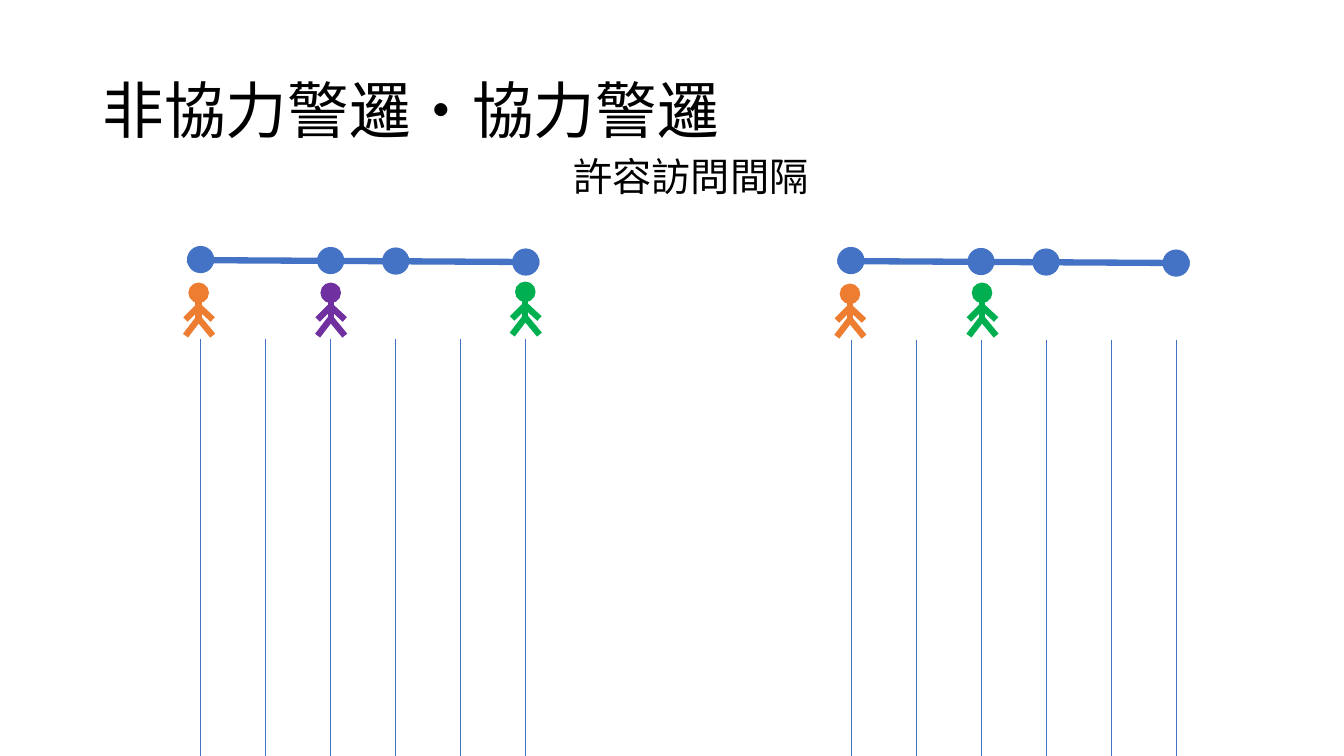
from dataclasses import dataclass

from lxml import etree
from pptx import Presentation
from pptx.dml.color import RGBColor
from pptx.enum.shapes import MSO_CONNECTOR, MSO_SHAPE
from pptx.enum.text import MSO_ANCHOR, MSO_AUTO_SIZE
from pptx.oxml.ns import qn
from pptx.util import Inches, Pt

STRAIGHT = MSO_CONNECTOR.STRAIGHT
ELLIPSE = MSO_SHAPE.OVAL
MIDDLE = MSO_ANCHOR.MIDDLE
FIT_SHAPE = MSO_AUTO_SIZE.SHAPE_TO_FIT_TEXT

SLIDE_WIDTH, SLIDE_HEIGHT = 13.33, 7.5
COLUMN_STEP = 0.645
COLUMN_COUNT = 6
NODE_COLUMNS = (0, 2, 3, 5)
NODE_SIZE = 0.27
HEAD_SIZE = 0.19
LIMBS = (
    (0, 0.19, 0, 0.36),
    (0, 0.35, 0.14, 0.52),
    (0, 0.23, 0.14, 0.36),
    (0, 0.23, -0.13, 0.36),
    (0, 0.35, -0.13, 0.52),
)


@dataclass(frozen=True)
class Theme:
    font: str = "Noto Sans CJK JP"
    text: str = "000000"
    route: str = "4472C4"
    orange: str = "ED7D31"
    green: str = "00B050"
    purple: str = "7030A0"
    title_size: float = 44
    label_size: float = 28
    thick: float = 4.5
    outline: float = 1
    thin: float = 0.5


class PatrolSlide:
    def __init__(self, page, theme):
        self.page = page
        self.theme = theme

    def text(self, content, left, top, width, height, size, wrap=True):
        box = self.page.shapes.add_textbox(
            Inches(left), Inches(top), Inches(width), Inches(height)
        )
        frame = box.text_frame
        frame.text = content
        frame.word_wrap = wrap
        para = frame.paragraphs[0]
        for span in para.runs:
            span.font.name = self.theme.font
            span.font.size = Pt(size)
            span.font.color.rgb = RGBColor.from_string(self.theme.text)
            east_asian = etree.SubElement(span.font._element, qn("a:ea"))
            east_asian.set("typeface", self.theme.font)
        return frame

    def line(self, shapes, start_x, start_y, end_x, end_y, color, weight):
        connector = shapes.add_connector(
            STRAIGHT, Inches(start_x), Inches(start_y), Inches(end_x), Inches(end_y)
        )
        connector.line.color.rgb = RGBColor.from_string(color)
        connector.line.width = Pt(weight)
        etree.SubElement(connector._element.spPr, qn("a:effectLst"))

    def dot(self, shapes, center_x, top, size, color, outlined=False):
        shape = shapes.add_shape(
            ELLIPSE, Inches(center_x - size / 2), Inches(top), Inches(size), Inches(size)
        )
        shape.shadow.inherit = False
        shape.fill.solid()
        shape.fill.fore_color.rgb = RGBColor.from_string(color)
        if outlined:
            shape.line.color.rgb = RGBColor.from_string(color)
            shape.line.width = Pt(self.theme.outline)
        else:
            shape.line.fill.background()

    def route(self, left, top):
        shapes = self.page.shapes.add_group_shape().shapes
        radius = NODE_SIZE / 2
        right = left + (COLUMN_COUNT - 1) * COLUMN_STEP
        self.line(shapes, left - radius, top + 0.14, right + radius, top + 0.16,
                  self.theme.route, self.theme.thick)
        for column in NODE_COLUMNS:
            self.dot(shapes, left + column * COLUMN_STEP, top + column * 0.005,
                     NODE_SIZE, self.theme.route)

    def patroller(self, center_x, top, color):
        shapes = self.page.shapes.add_group_shape().shapes
        self.dot(shapes, center_x, top, HEAD_SIZE, color, outlined=True)
        for start_x, start_y, end_x, end_y in LIMBS:
            self.line(shapes, center_x + start_x, top + start_y,
                      center_x + end_x, top + end_y, color, self.theme.thick)

    def timelines(self, left, top):
        for column in range(COLUMN_COUNT):
            x = left + column * COLUMN_STEP
            self.line(self.page.shapes, x, top, x, SLIDE_HEIGHT,
                      self.theme.route, self.theme.thin)


def main():
    deck = Presentation()
    deck.slide_width = Inches(SLIDE_WIDTH)
    deck.slide_height = Inches(SLIDE_HEIGHT)
    theme = Theme()
    slide = PatrolSlide(deck.slides.add_slide(deck.slide_layouts[6]), theme)

    title = slide.text("非協力警邏・協力警邏", 0.92, 0.4, 11.5, 1.45, theme.title_size)
    title.vertical_anchor = MIDDLE
    title.paragraphs[0].line_spacing = 0.9
    label = slide.text("許容訪問間隔", 5.59, 1.46, 2.56, 0.57, theme.label_size, wrap=False)
    label.auto_size = FIT_SHAPE

    panels = (
        (1.99, 2.44, ((1.97, 2.81, theme.orange), (5.21, 2.8, theme.green),
                      (3.28, 2.81, theme.purple))),
        (8.44, 2.45, ((8.43, 2.82, theme.orange), (9.74, 2.81, theme.green))),
    )
    for left, top, patrollers in panels:
        slide.route(left, top)
        for center_x, head_top, color in patrollers:
            slide.patroller(center_x, head_top, color)
        slide.timelines(left, top + 0.92)

    deck.save("out.pptx")


if __name__ == "__main__":
    main()
